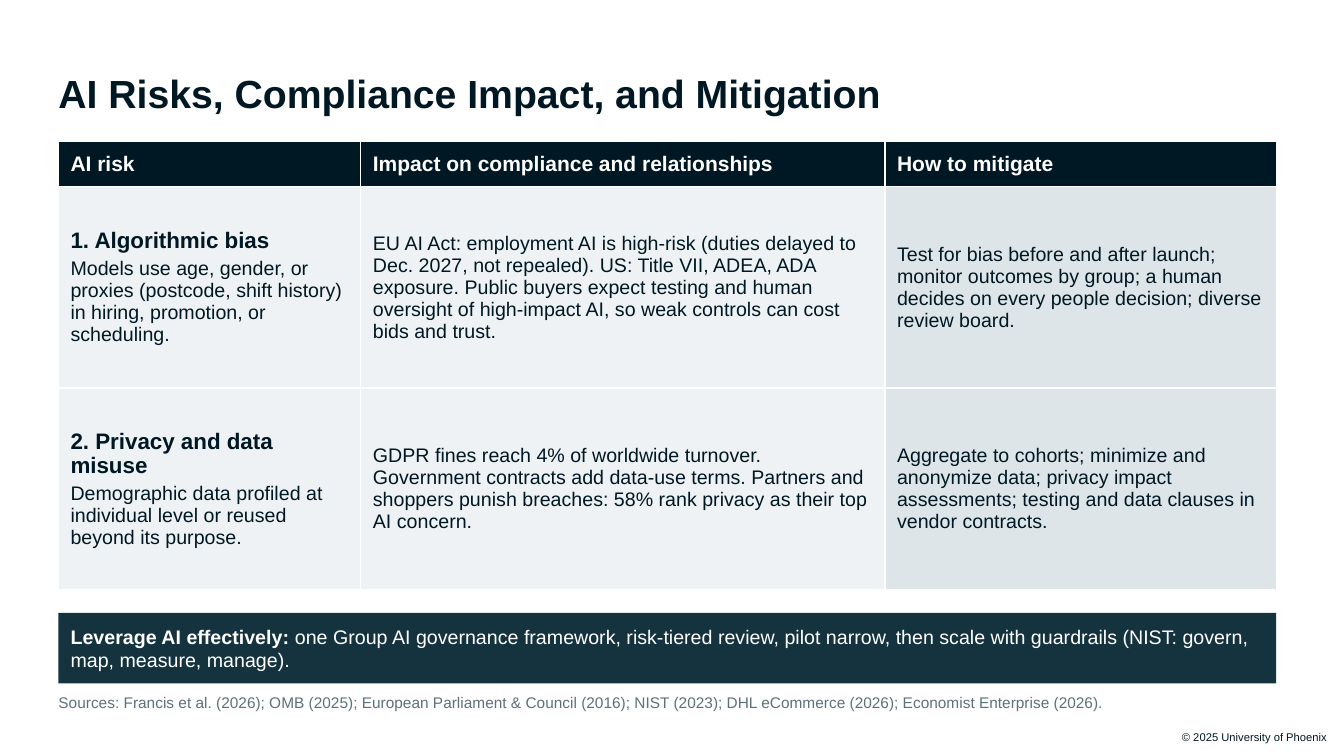
from dataclasses import dataclass
from typing import Any

from lxml.etree import SubElement
from pptx import Presentation
from pptx.dml.color import RGBColor
from pptx.enum.shapes import MSO_SHAPE
from pptx.enum.text import MSO_ANCHOR, PP_ALIGN
from pptx.oxml.ns import qn
from pptx.util import Pt


@dataclass(frozen=True)
class Theme:
    font: str = "Arial"
    ink: str = "001823"
    white: str = "FFFFFF"
    pale: str = "EEF2F4"
    tint: str = "DDE5E9"
    banner: str = "15333E"
    muted: str = "5E7079"
    title_size: int = 28
    risk_size: int = 16
    header_size: int = 15
    body_size: int = 14
    source_size: int = 11
    copyright_size: int = 8


THEME = Theme()


@dataclass(frozen=True)
class Span:
    text: str
    size: int = THEME.body_size
    color: str = THEME.ink
    bold: bool = False


@dataclass(frozen=True)
class Para:
    spans: tuple[Span, ...]
    after: float = 4
    align: PP_ALIGN = PP_ALIGN.LEFT


@dataclass(frozen=True)
class Area:
    left: float
    top: float
    width: float
    height: float

    def lengths(self) -> tuple[Pt, Pt, Pt, Pt]:
        return Pt(self.left), Pt(self.top), Pt(self.width), Pt(self.height)


@dataclass(frozen=True)
class Risk:
    name: str
    description: str
    impact: str
    mitigation: str


LEFT, WIDTH = 41.76, 869.76
COLUMN_WIDTHS = (216, 374.4, 279.36)
ROW_HEIGHTS = (32.4, 144, 144)
HEADERS = ("AI risk", "Impact on compliance and relationships", "How to mitigate")
COLUMN_FILLS = (THEME.pale, THEME.pale, THEME.tint)
RISKS = (
    Risk(
        "1. Algorithmic bias",
        "Models use age, gender, or proxies (postcode, shift history) in hiring, "
        "promotion, or scheduling.",
        "EU AI Act: employment AI is high-risk (duties delayed to Dec. 2027, not "
        "repealed). US: Title VII, ADEA, ADA exposure. Public buyers expect testing and "
        "human oversight of high-impact AI, so weak controls can cost bids and trust.",
        "Test for bias before and after launch; monitor outcomes by group; a human "
        "decides on every people decision; diverse review board.",
    ),
    Risk(
        "2. Privacy and data misuse",
        "Demographic data profiled at individual level or reused beyond its purpose.",
        "GDPR fines reach 4% of worldwide turnover. Government contracts add data-use "
        "terms. Partners and shoppers punish breaches: 58% rank privacy as their top "
        "AI concern.",
        "Aggregate to cohorts; minimize and anonymize data; privacy impact assessments; "
        "testing and data clauses in vendor contracts.",
    ),
)


def set_attributes(target: Any, values: dict[str, Any]) -> None:
    for name, value in values.items():
        setattr(target, name, value)


def margins(horizontal: float, vertical: float) -> dict[str, Pt]:
    return {
        "margin_left": Pt(horizontal),
        "margin_right": Pt(horizontal),
        "margin_top": Pt(vertical),
        "margin_bottom": Pt(vertical),
    }


def paint(target: Any, color: str) -> None:
    target.fill.solid()
    target.fill.fore_color.rgb = RGBColor.from_string(color)


def write(frame: Any, paras: tuple[Para, ...]) -> None:
    frame.word_wrap = True
    for index, para in enumerate(paras):
        paragraph = frame.add_paragraph() if index else frame.paragraphs[0]
        set_attributes(paragraph, {"alignment": para.align, "space_after": Pt(para.after)})
        for span in para.spans:
            run = paragraph.add_run()
            run.text = span.text
            set_attributes(
                run.font, {"name": THEME.font, "size": Pt(span.size), "bold": span.bold}
            )
            run.font.color.rgb = RGBColor.from_string(span.color)


def add_text(page: Any, area: Area, para: Para, anchor: MSO_ANCHOR = MSO_ANCHOR.TOP) -> None:
    frame = page.shapes.add_textbox(*area.lengths()).text_frame
    set_attributes(frame, {"vertical_anchor": anchor, **margins(0, 0)})
    write(frame, (para,))


def add_banner(page: Any, area: Area, para: Para) -> None:
    box = page.shapes.add_shape(MSO_SHAPE.RECTANGLE, *area.lengths())
    box.shadow.inherit = False
    paint(box, THEME.banner)
    box.line.fill.background()
    set_attributes(
        box.text_frame, {"vertical_anchor": MSO_ANCHOR.MIDDLE, **margins(8.64, 5.76)}
    )
    write(box.text_frame, (para,))


def add_borders(cell: Any) -> None:
    """Put a thin white line on all four sides, ahead of the cell's fill."""
    properties = cell._tc.get_or_add_tcPr()
    for index, side in enumerate(("a:lnL", "a:lnR", "a:lnT", "a:lnB")):
        line = SubElement(properties, qn(side), w=str(Pt(1)))
        SubElement(SubElement(line, qn("a:solidFill")), qn("a:srgbClr"), val=THEME.white)
        properties.insert(index, line)


def fill_cell(cell: Any, color: str, paras: tuple[Para, ...]) -> None:
    set_attributes(cell, {"vertical_anchor": MSO_ANCHOR.MIDDLE, **margins(8.64, 5.04)})
    paint(cell, color)
    add_borders(cell)
    write(cell.text_frame, paras)


def add_risk_table(page: Any, area: Area) -> None:
    table = page.shapes.add_table(
        len(ROW_HEIGHTS), len(COLUMN_WIDTHS), *area.lengths()
    ).table
    table.horz_banding = False
    for column, width in zip(table.columns, COLUMN_WIDTHS):
        column.width = Pt(width)
    for row, height in zip(table.rows, ROW_HEIGHTS):
        row.height = Pt(height)
    for column, header in enumerate(HEADERS):
        span = Span(header, THEME.header_size, THEME.white, True)
        fill_cell(table.cell(0, column), THEME.ink, (Para((span,)),))
    for row, risk in enumerate(RISKS, start=1):
        heading = Para((Span(risk.name, THEME.risk_size, bold=True),), after=3)
        contents = (
            (heading, Para((Span(risk.description),))),
            (Para((Span(risk.impact),)),),
            (Para((Span(risk.mitigation),)),),
        )
        for column, (color, paras) in enumerate(zip(COLUMN_FILLS, contents)):
            fill_cell(table.cell(row, column), color, paras)


def main() -> None:
    deck = Presentation()
    set_attributes(deck, {"slide_width": Pt(960), "slide_height": Pt(540)})
    page = deck.slides.add_slide(deck.slide_layouts[6])

    title = Span(
        "AI Risks, Compliance Impact, and Mitigation", THEME.title_size, bold=True
    )
    add_text(page, Area(LEFT, 36, WIDTH, 46.8), Para((title,), after=0), MSO_ANCHOR.BOTTOM)

    copyright_line = Span("© 2025 University of Phoenix", THEME.copyright_size)
    add_text(page, Area(252, 522, 696, 18), Para((copyright_line,), 0, PP_ALIGN.RIGHT))

    add_risk_table(page, Area(LEFT, 100.8, WIDTH, sum(ROW_HEIGHTS)))

    lead = Span("Leverage AI effectively: ", color=THEME.white, bold=True)
    advice = Span(
        "one Group AI governance framework, risk-tiered review, pilot narrow, then scale "
        "with guardrails (NIST: govern, map, measure, manage).",
        color=THEME.white,
    )
    add_banner(page, Area(LEFT, 437.76, WIDTH, 50.4), Para((lead, advice)))

    sources = Span(
        "Sources: Francis et al. (2026); OMB (2025); European Parliament & Council (2016); "
        "NIST (2023); DHL eCommerce (2026); Economist Enterprise (2026).",
        THEME.source_size,
        THEME.muted,
    )
    add_text(page, Area(LEFT, 495.36, WIDTH, 21.6), Para((sources,)))
    deck.save("out.pptx")


if __name__ == "__main__":
    main()
